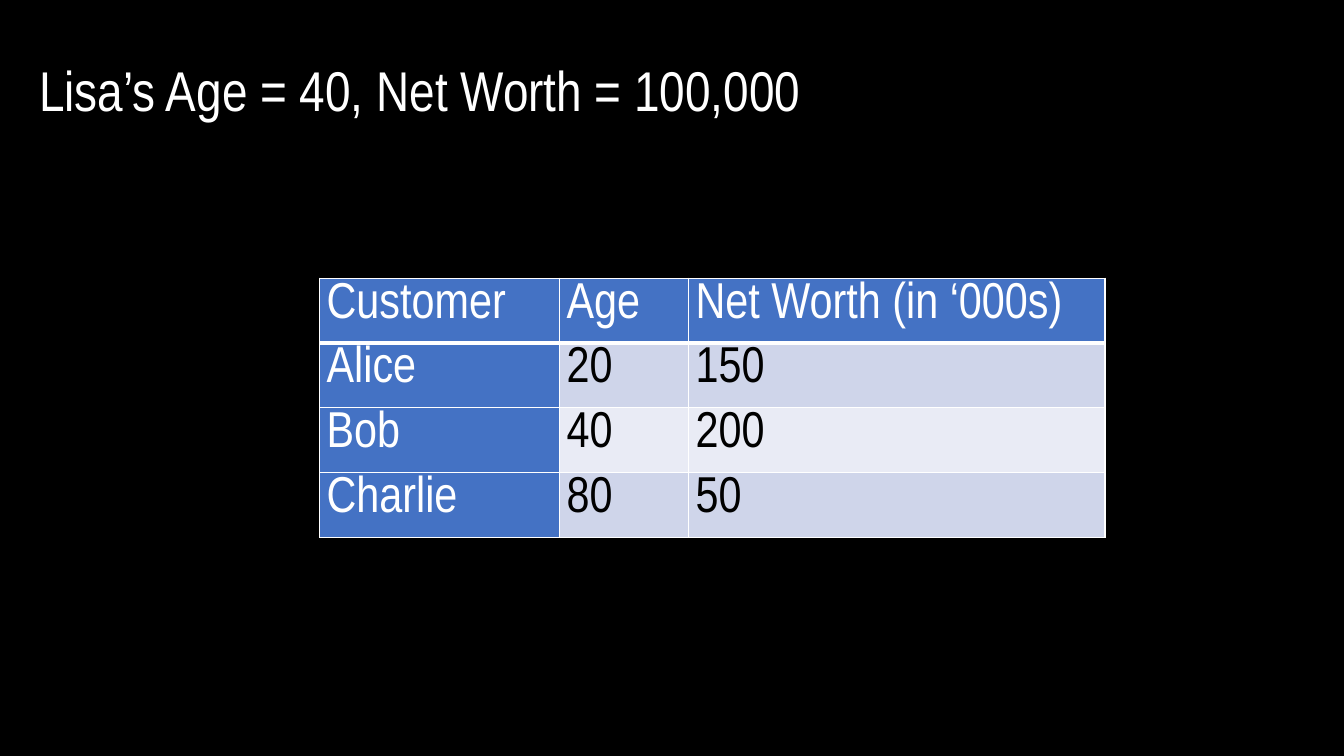
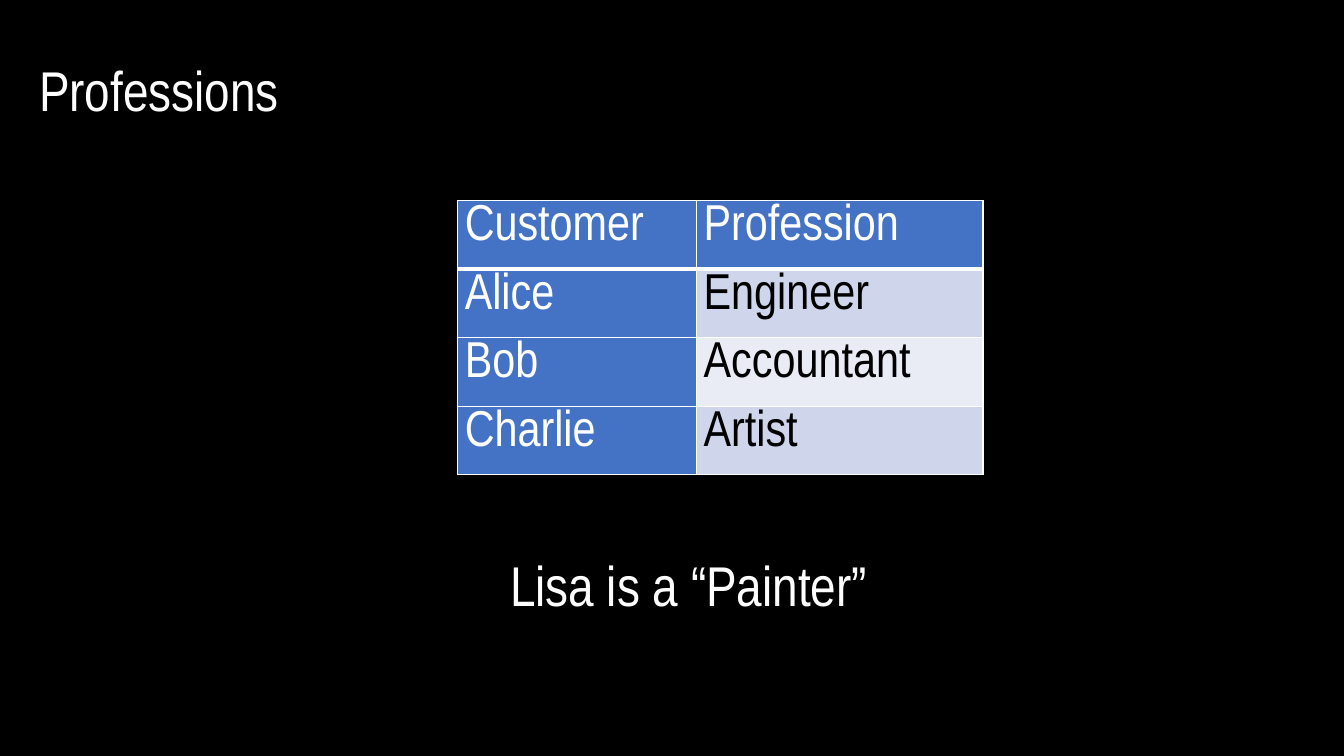
from lxml import etree
from pptx import Presentation
from pptx import util as u
from pptx.dml.color import RGBColor
from pptx.enum import text
from pptx.oxml import ns

FONT = "Arial Narrow"
BLACK = RGBColor(0x00, 0x00, 0x00)
WHITE = RGBColor(0xFF, 0xFF, 0xFF)
BLUE = RGBColor(0x44, 0x72, 0xC4)
BANDS = (RGBColor(0xCF, 0xD5, 0xEA), RGBColor(0xE9, 0xEB, 0xF5))

TITLE_BOX = (0.29, 0.5, 7.97, 0.77)
TITLE_SIZE = 40
CELL_SIZE = 36
CELL_INSET = 0.07
LINE_SPACING = 1.07
THIN, THICK = 1, 3


def write(frame, wording, size, color):
    """Set one line of text in the shared font."""
    frame.text = wording
    font = frame.paragraphs[0].runs[0].font
    font.name = FONT
    font.size = u.Pt(size)
    font.bold = False
    font.color.rgb = color


def add_heading(slide, box, wording):
    """Place a white line of large text in the given box."""
    frame = slide.shapes.add_textbox(*map(u.Inches, box)).text_frame
    frame.word_wrap = True
    frame.auto_size = text.MSO_AUTO_SIZE.SHAPE_TO_FIT_TEXT
    write(frame, wording, TITLE_SIZE, WHITE)


def add_borders(cell, top, bottom):
    """Draw white borders of the given top and bottom widths around a cell."""
    properties = cell._tc.get_or_add_tcPr()
    for side, width in (("L", THIN), ("R", THIN), ("T", top), ("B", bottom)):
        line = etree.SubElement(properties, ns.qn(f"a:ln{side}"), w=str(u.Pt(width)))
        fill = etree.SubElement(line, ns.qn("a:solidFill"))
        etree.SubElement(fill, ns.qn("a:srgbClr"), val=str(WHITE))


def style_cell(cell, wording, row, column):
    """Fill one cell as a header, a row label or a banded value."""
    add_borders(cell, THICK if row == 1 else THIN, THICK if row == 0 else THIN)
    label = row == 0 or column == 0
    cell.fill.solid()
    cell.fill.fore_color.rgb = BLUE if label else BANDS[(row - 1) % 2]
    cell.margin_left = cell.margin_right = u.Inches(CELL_INSET)
    cell.margin_top = cell.margin_bottom = 0
    write(cell.text_frame, wording, CELL_SIZE, WHITE if label else BLACK)
    cell.text_frame.paragraphs[0].line_spacing = LINE_SPACING


def add_customer_table(slide, left, top, widths, row_height, records):
    """Place a table with a header row and a label column."""
    box = (left, top, sum(widths), row_height * len(records))
    table = slide.shapes.add_table(
        len(records), len(widths), *map(u.Inches, box)).table
    for column, width in zip(table.columns, widths):
        column.width = u.Inches(width)
    for row, record in enumerate(records):
        table.rows[row].height = u.Inches(row_height)
        for column, wording in enumerate(record):
            style_cell(table.cell(row, column), wording, row, column)


def add_titled_slide(deck, title):
    """Add a black slide with its title."""
    slide = deck.slides.add_slide(deck.slide_layouts[6])
    slide.background.fill.solid()
    slide.background.fill.fore_color.rgb = BLACK
    add_heading(slide, TITLE_BOX, title)
    return slide


def add_net_worth_slide(deck):
    """Add the slide on age and net worth."""
    slide = add_titled_slide(deck, "Lisa’s Age = 40, Net Worth = 100,000")
    add_customer_table(slide, 3.17, 2.76, (2.38, 1.28, 4.13), 0.64, (
        ("Customer", "Age", "Net Worth (in ‘000s)"),
        ("Alice", "20", "150"),
        ("Bob", "40", "200"),
        ("Charlie", "80", "50"),
    ))


def add_professions_slide(deck):
    """Add the slide on professions."""
    slide = add_titled_slide(deck, "Professions")
    add_customer_table(slide, 4.54, 1.99, (2.37, 2.84), 0.68, (
        ("Customer", "Profession"),
        ("Alice", "Engineer"),
        ("Bob", "Accountant"),
        ("Charlie", "Artist"),
    ))
    add_heading(slide, (4.96, 5.41, 3.85, 0.77), "Lisa is a “Painter”")


def main():
    """Build and save the deck."""
    deck = Presentation()
    deck.slide_width = u.Inches(13.33)
    deck.slide_height = u.Inches(7.5)
    add_net_worth_slide(deck)
    add_professions_slide(deck)
    deck.save("out.pptx")


if __name__ == "__main__":
    main()
